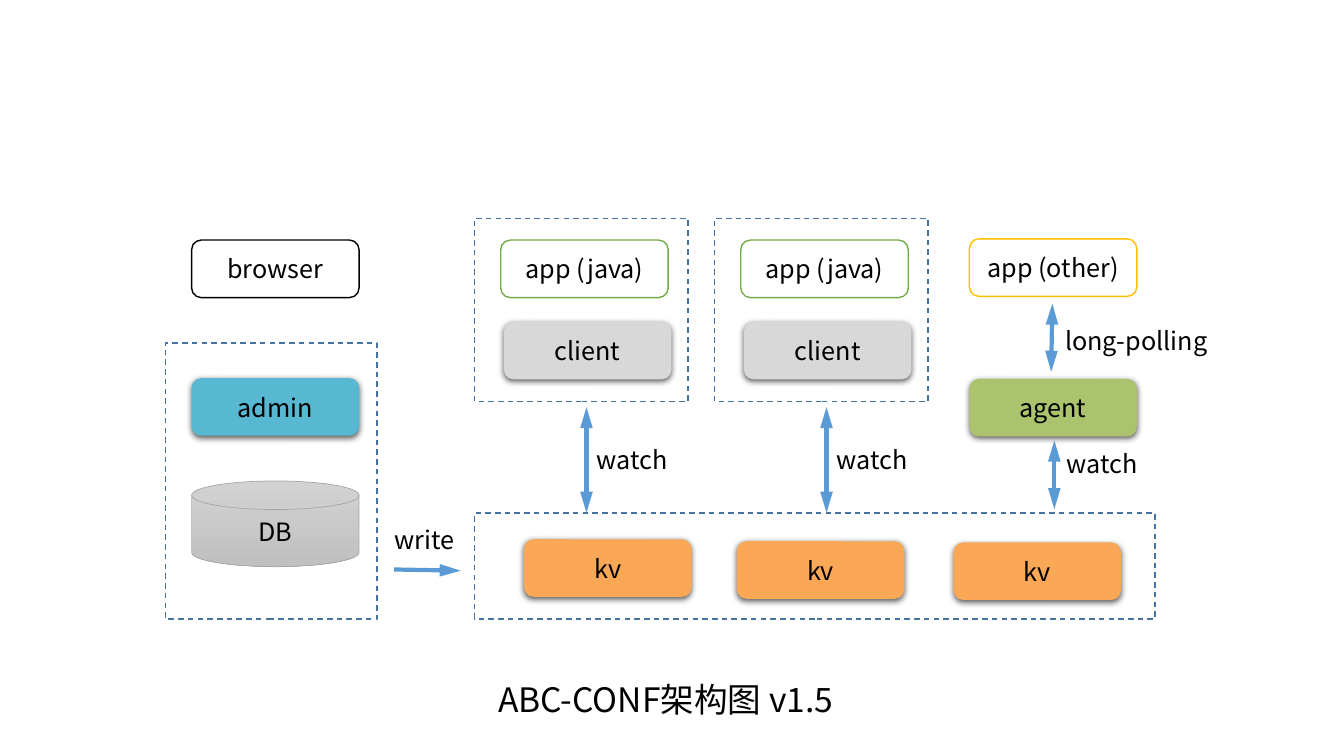
from lxml import etree
from pptx import Presentation
from pptx.dml.color import RGBColor
from pptx.enum.dml import MSO_LINE
from pptx.enum.shapes import MSO_CONNECTOR, MSO_SHAPE
from pptx.enum.text import MSO_ANCHOR, MSO_AUTO_SIZE, PP_ALIGN
from pptx.oxml import parse_xml
from pptx.oxml.ns import nsdecls, qn
from pptx.util import Cm, Pt

FONT = "Noto Sans CJK SC"
BOX_WIDTH, BOX_HEIGHT = 4.22, 1.45
COLUMN_STEP = 6.05
SHADOW = (
    f'<a:effectLst {nsdecls("a")}><a:outerShdw blurRad="57150" dist="19050" '
    'dir="5400000" algn="ctr" rotWithShape="0"><a:srgbClr val="000000">'
    '<a:alpha val="63000"/></a:srgbClr></a:outerShdw></a:effectLst>'
)


def color(value):
    return RGBColor.from_string(value)


def write_text(shape, text, size=18, align=PP_ALIGN.CENTER):
    shape.text_frame.text = text
    paragraph = shape.text_frame.paragraphs[0]
    paragraph.alignment = align
    run = paragraph.runs[0]
    run.font.size = Pt(size)
    run.font.name = FONT
    run.font.color.rgb = color("000000")
    etree.SubElement(run.font._element, qn("a:ea")).set("typeface", FONT)


presentation = Presentation()
presentation.slide_width, presentation.slide_height = Cm(33.87), Cm(19.05)
slide = presentation.slides.add_slide(presentation.slide_layouts[5])
shapes = slide.shapes

title = shapes.title
title.left, title.top, title.width, title.height = Cm(11.96), Cm(16.99), Cm(9.63), Cm(1.28)
write_text(title, "ABC-CONF架构图 v1.5", 24)
title.text_frame.word_wrap = False
title.text_frame.auto_size = MSO_AUTO_SIZE.SHAPE_TO_FIT_TEXT
title.text_frame.vertical_anchor = MSO_ANCHOR.TOP

frames = [
    (4.17, 8.64, 5.33, 6.96),
    (11.96, 12.93, 17.15, 2.67),
]
filled_boxes = [
    ("admin", 4.83, 9.53, "58B8D1"),
    ("agent", 24.43, 9.55, "ABC36C"),
    ("kv", 13.21, 13.59, "FAA756"),
    ("kv", 18.57, 13.64, "FAA756"),
    ("kv", 24.03, 13.67, "FAA756"),
]
outlined_boxes = [
    ("browser", 4.83, 6.05, "000000"),
    ("app (other)", 24.43, 6.02, "FFC000"),
]
arrows = [
    (9.93, 14.35, 11.61, 14.38, False),
    (26.57, 11.1, 26.57, 12.83, True),
    (26.52, 7.65, 26.49, 9.37, True),
]
labels = [
    ("write", 9.7, 13.08, 2.03),
    ("watch", 26.64, 11.18, 2.34),
    ("long-polling", 26.59, 8.08, 4.32),
]
for column in range(2):
    shift = column * COLUMN_STEP
    frames.append((11.96 + shift, 5.5, 5.38, 4.62))
    outlined_boxes.append(("app (java)", 12.62 + shift, 6.05, "70AD47"))
    filled_boxes.append(("client", 12.7 + shift, 8.11, "D8D8D8"))
    arrows.append((14.78 + shift, 10.26, 14.78 + shift, 12.92, True))
    labels.append(("watch", 14.78 + shift, 11.08, 2.34))

for left, top, width, height in frames:
    frame = shapes.add_shape(MSO_SHAPE.RECTANGLE, Cm(left), Cm(top), Cm(width), Cm(height))
    frame.shadow.inherit = False
    frame.fill.background()
    frame.line.color.rgb = color("43739E")
    frame.line.width = Pt(1)
    frame.line.dash_style = MSO_LINE.DASH

boxes = [(*box, True) for box in filled_boxes] + [(*box, False) for box in outlined_boxes]
for text, left, top, box_color, filled in boxes:
    box = shapes.add_shape(MSO_SHAPE.FLOWCHART_ALTERNATE_PROCESS,
                           Cm(left), Cm(top), Cm(BOX_WIDTH), Cm(BOX_HEIGHT))
    box.fill.solid()
    if filled:
        box.fill.fore_color.rgb = color(box_color)
        box.line.fill.background()
        box._element.spPr.append(parse_xml(SHADOW))
    else:
        box.shadow.inherit = False
        box.fill.fore_color.rgb = color("FFFFFF")
        box.line.color.rgb = color(box_color)
        box.line.width = Pt(1)
    write_text(box, text)

database = shapes.add_shape(MSO_SHAPE.FLOWCHART_MAGNETIC_DISK,
                            Cm(4.83), Cm(12.12), Cm(BOX_WIDTH), Cm(2.16))
database.shadow.inherit = False
database.fill.gradient()
database.fill.gradient_angle = 270
for stop, stop_color in zip(database.fill.gradient_stops, ("D2D2D2", "C0C0C0")):
    stop.color.rgb = color(stop_color)
database.line.color.rgb = color("A5A5A5")
database.line.width = Pt(0.5)
write_text(database, "DB")

for left, top, right, bottom, two_way in arrows:
    arrow = shapes.add_connector(MSO_CONNECTOR.STRAIGHT, Cm(left), Cm(top), Cm(right), Cm(bottom))
    arrow.line.color.rgb = color("5B9BD5")
    arrow.line.width = Pt(3)
    line = arrow.line._get_or_add_ln()
    for end in ("a:headEnd", "a:tailEnd") if two_way else ("a:tailEnd",):
        arrowhead = etree.SubElement(line, qn(end))
        arrowhead.set("type", "triangle")
        arrowhead.set("len", "lg")
    etree.SubElement(arrow._element.spPr, qn("a:effectLst"))

for text, left, top, width in labels:
    label = shapes.add_textbox(Cm(left), Cm(top), Cm(width), Cm(1.02))
    write_text(label, text, align=PP_ALIGN.LEFT)
    label.text_frame.word_wrap = False
    label.text_frame.auto_size = MSO_AUTO_SIZE.SHAPE_TO_FIT_TEXT

presentation.save("out.pptx")
